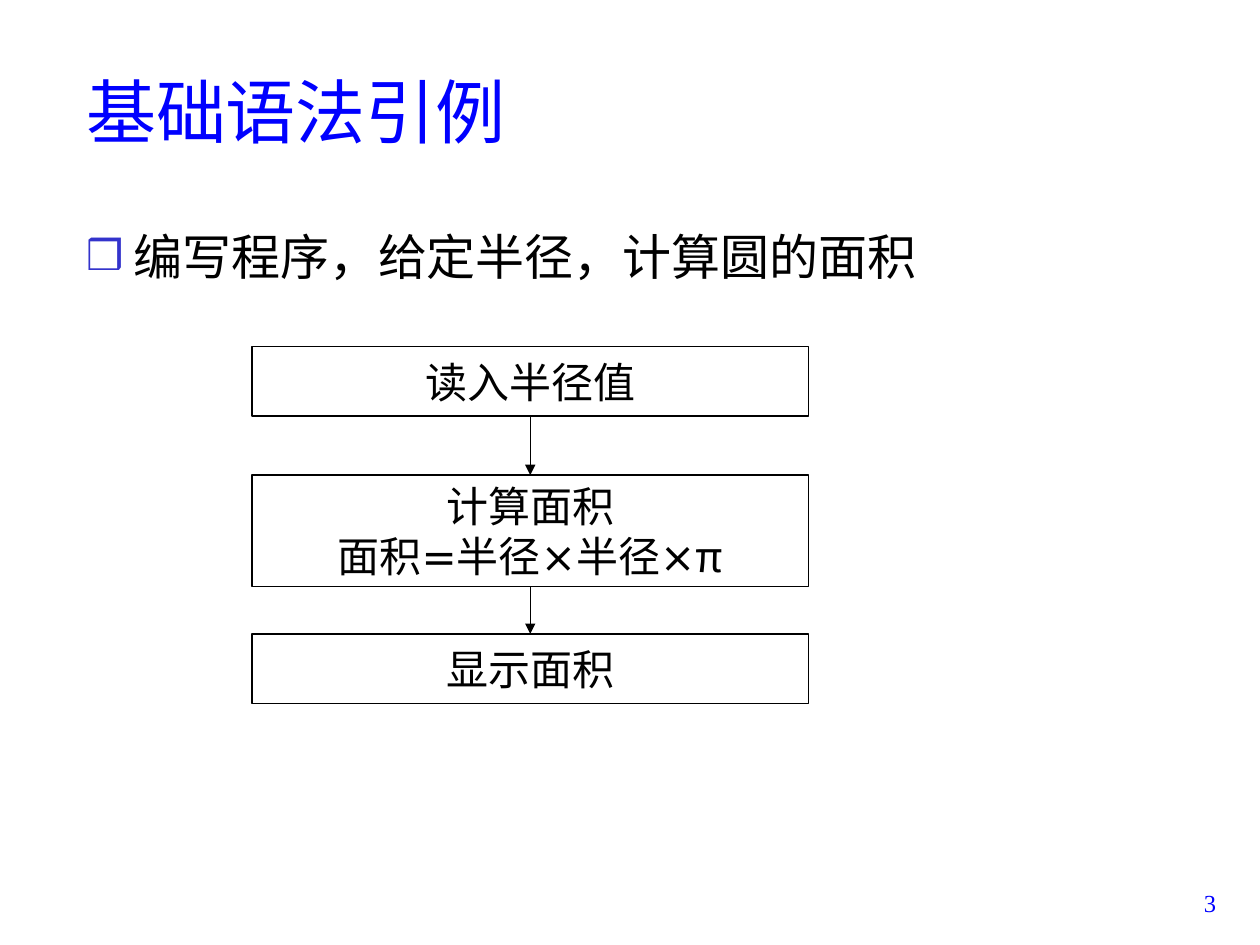
from lxml.etree import SubElement
from pptx import Presentation
from pptx.dml.color import RGBColor
from pptx.enum.shapes import MSO_CONNECTOR as Connector, MSO_SHAPE as Shape
from pptx.enum.text import MSO_ANCHOR as Anchor, MSO_AUTO_SIZE as AutoSize, PP_ALIGN as Align
from pptx.oxml.ns import qn
from pptx.util import Pt

CJK_FONT = "Noto Sans CJK SC"
LATIN_FONT = "DejaVu Sans"
BLACK, BLUE, BULLET_BLUE = "000000", "0000FF", "3333CC"
BOX_LEFT, BOX_WIDTH = 144, 318

# Top, height and lines of each step; a line is a list of (text, font) runs.
STEPS = [
    (198, 39.75, [[("读入半径值", LATIN_FONT)]]),
    (271.5, 63.75, [[("计算面积", LATIN_FONT)],
                    [("面积=半径×半径×", LATIN_FONT), ("π", CJK_FONT)]]),
    (362.25, 39.75, [[("显示面积", LATIN_FONT)]]),
]


def color(hex_string):
    return RGBColor.from_string(hex_string)


def add_run(paragraph, text, size, font_name, hex_color):
    run = paragraph.add_run()
    run.text = text
    run.font.size = Pt(size)
    run.font.name = font_name
    run.font.color.rgb = color(hex_color)
    east_asian = SubElement(run.font._element, qn("a:ea"))
    east_asian.set("typeface", CJK_FONT)


def place(shape, left, top, width, height):
    shape.left, shape.top = Pt(left), Pt(top)
    shape.width, shape.height = Pt(width), Pt(height)


def fill_title(title, text):
    place(title, 42, 18, 612, 90)
    title.text_frame.vertical_anchor = Anchor.MIDDLE
    title.text_frame.auto_size = AutoSize.NONE
    paragraph = title.text_frame.paragraphs[0]
    paragraph.alignment = Align.LEFT
    add_run(paragraph, text, 40, CJK_FONT, BLUE)


def add_bullet(paragraph, character):
    properties = paragraph._p.get_or_add_pPr()
    properties.set("marL", str(Pt(27)))
    properties.set("indent", str(-Pt(27)))
    bullet_color = SubElement(properties, qn("a:buClr"))
    SubElement(bullet_color, qn("a:srgbClr")).set("val", BULLET_BLUE)
    SubElement(properties, qn("a:buSzPct")).set("val", "85000")
    SubElement(properties, qn("a:buChar")).set("char", character)


def fill_body(body, text):
    place(body, 42, 126, 612, 366)
    body.text_frame.auto_size = AutoSize.NONE
    paragraph = body.text_frame.paragraphs[0]
    add_bullet(paragraph, "❒")
    paragraph.space_before = Pt(0)
    add_run(paragraph, text, 28, CJK_FONT, BLACK)


def add_page_number(slide, number):
    box = slide.shapes.add_textbox(Pt(654), Pt(504), Pt(48), Pt(36))
    box.text_frame.word_wrap = True
    paragraph = box.text_frame.paragraphs[0]
    paragraph.alignment = Align.RIGHT
    add_run(paragraph, number, 14, "Times New Roman", BLUE)


def add_step(slide, top, height, lines):
    box = slide.shapes.add_shape(
        Shape.RECTANGLE, Pt(BOX_LEFT), Pt(top), Pt(BOX_WIDTH), Pt(height))
    box.shadow.inherit = False
    box.fill.background()
    box.line.color.rgb = color(BLACK)
    box.line.width = Pt(0.75)
    frame = box.text_frame
    frame.word_wrap = False
    frame.vertical_anchor = Anchor.MIDDLE
    for index, runs in enumerate(lines):
        paragraph = frame.add_paragraph() if index else frame.paragraphs[0]
        paragraph.alignment = Align.CENTER
        for text, font_name in runs:
            add_run(paragraph, text, 24, font_name, BLACK)
    return box


def add_arrow(slide, upper, lower):
    """Join the bottom of the upper box to the top of the lower one."""
    arrow = slide.shapes.add_connector(Connector.STRAIGHT, 0, 0, 0, 0)
    arrow.begin_connect(upper, 2)
    arrow.end_connect(lower, 0)
    arrow.line.color.rgb = color(BLACK)
    arrow.line.width = Pt(0.75)
    SubElement(arrow.line._get_or_add_ln(), qn("a:tailEnd")).set("type", "triangle")
    SubElement(arrow._element.spPr, qn("a:effectLst"))


def main():
    presentation = Presentation()
    presentation.slide_width, presentation.slide_height = Pt(720), Pt(540)
    slide = presentation.slides.add_slide(presentation.slide_layouts[1])
    fill_title(slide.shapes.title, "基础语法引例")
    fill_body(slide.placeholders[1], "编写程序，给定半径，计算圆的面积")
    add_page_number(slide, "3")
    boxes = [add_step(slide, *step) for step in STEPS]
    for upper, lower in zip(boxes, boxes[1:]):
        add_arrow(slide, upper, lower)
    presentation.save("out.pptx")


if __name__ == "__main__":
    main()
